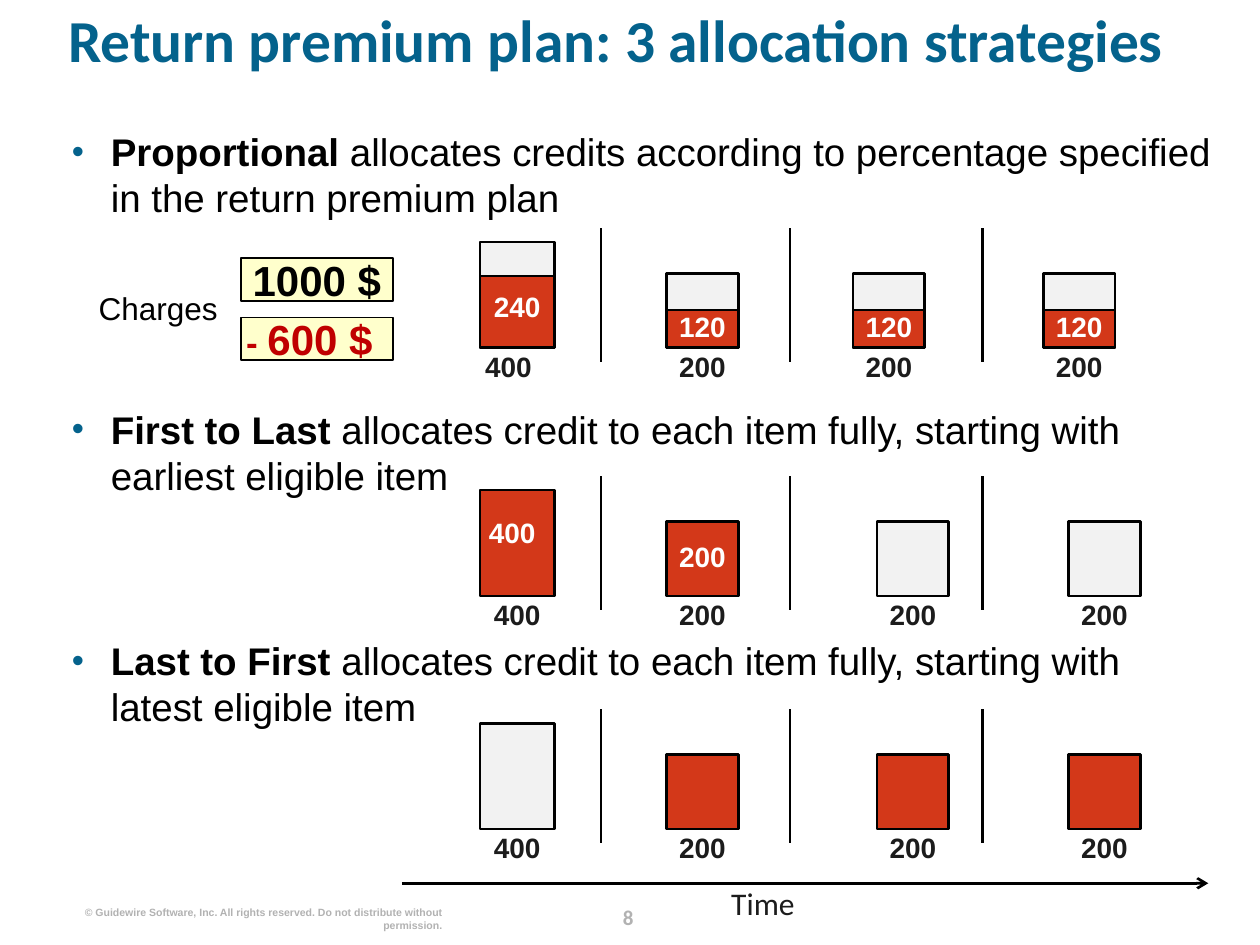
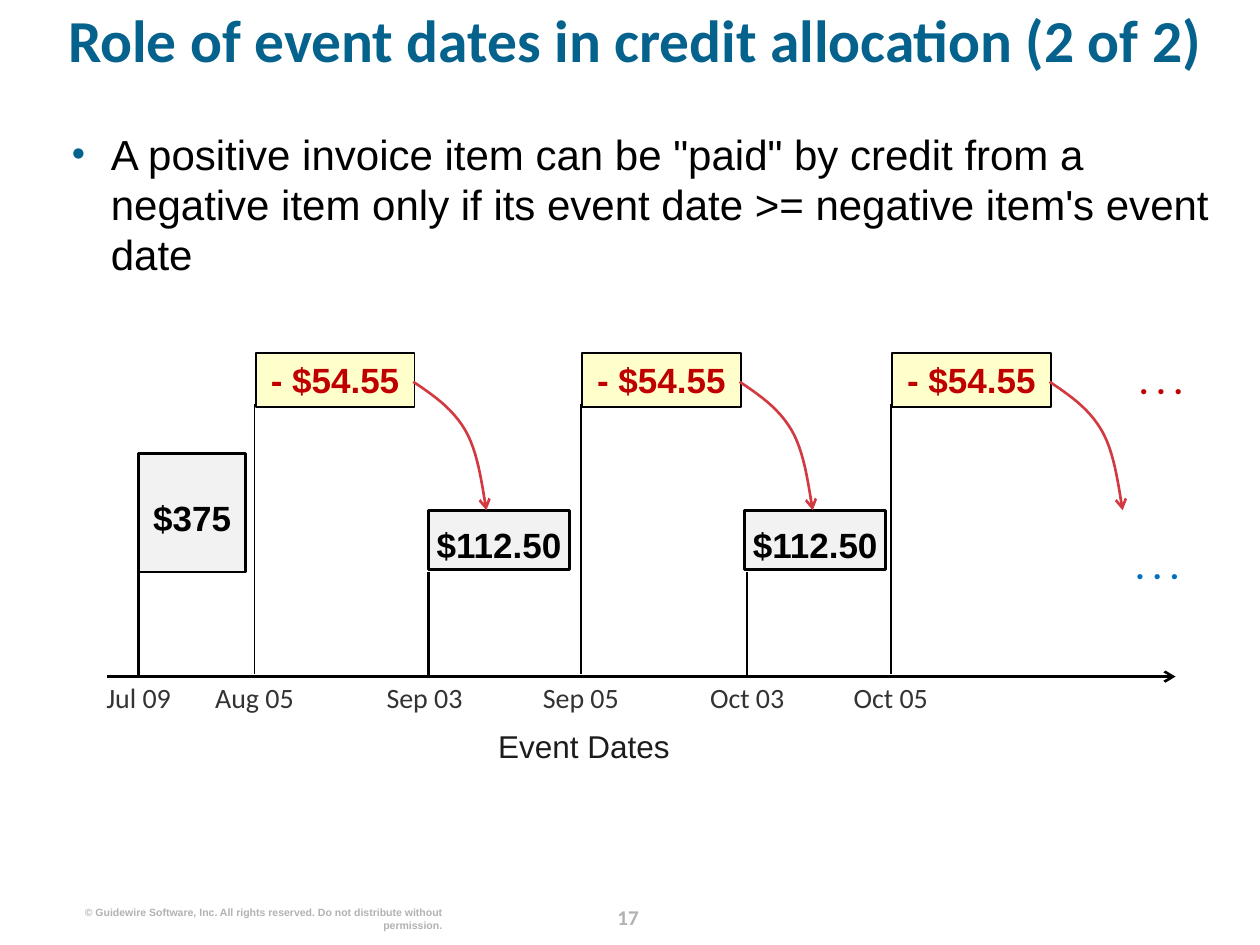
import lxml.etree
import pptx
import pptx.dml.color
import pptx.enum.shapes
import pptx.enum.text
import pptx.oxml.ns
import pptx.util

# Shared style: 100 px to the inch
PX = 9144
SLIDE_W, SLIDE_H = 1000, 750
HEADING, PLAIN = "Calibri", "Arial"
COLOURS = {
    "brand": "04628C", "text": "000000", "label": "1C1C1C", "date": "333333",
    "muted": "B2B2B2", "white": "FFFFFF", "item": "F2F2F2", "credited": "D33819",
    "charge": "FFFFCC", "negative": "C00000", "more": "0070C0", "flow": "D33941",
}
COPYRIGHT = ("© Guidewire Software, Inc. All rights reserved. "
             "Do not distribute without permission.")
ALIGN = pptx.enum.text.PP_ALIGN
ANCHOR = pptx.enum.text.MSO_ANCHOR

# Content of slide 1: bullets are (space before in pt, [(text, bold)])
STRATEGIES = {
    "title": "Return premium plan: 3 allocation strategies",
    "number": "8",
    "size": 22, "leading": 26.3, "height": 600,
    "bullets": [
        (0, [("Proportional", True),
             (" allocates credits according to percentage specified in the "
              "return premium plan", False)]),
        (106, [("First to Last ", True),
               ("allocates credit to each item fully, starting with earliest "
                "eligible item", False)]),
        (79.5, [("Last to First ", True),
                ("allocates credit to each item fully, starting with latest "
                 "eligible item", False)]),
    ],
}
# Items: left, amount due, credited height, credit text, shift of due, shift of credit
ALLOCATIONS = [
    (276, [(381, 400, 57, "240", -7, -3), (529, 200, 30, "120", 0, 0),
           (677, 200, 30, "120", 0, 0), (828, 200, 30, "120", 0, 0)]),
    (473, [(381, 400, 84, "400", 0, -7), (529, 200, 59, "200", 0, 0),
           (696, 200, 0, "", 0, 0), (848, 200, 0, "", 0, 0)]),
    (658, [(381, 400, 0, "", 0, 0), (529, 200, 59, "", 0, 0),
           (696, 200, 59, "", 0, 0), (848, 200, 59, "", 0, 0)]),
]
ITEM_SIZES = {400: (59, 84), 200: (57, 59)}
DIVIDERS = [477, 627, 780]
# Charges: top, runs of (text, size, colour), right inset
CHARGES = [
    (205, [("1000 $", 24, "text")], 0),
    (252, [("- ", 20, "negative"), ("600 $", 24, "negative")], 12),
]

# Content of slide 2
EVENTS = {
    "title": "Role of event dates in credit allocation (2 of 2)",
    "number": "17",
    "size": 24, "leading": 28.6, "height": 309,
    "bullets": [
        (0, [("A positive invoice item can be \"paid\" by credit from a negative "
              "item only if its event date >= negative item's event date", False)]),
    ],
}
AXIS_Y = 537
# Invoice items: date, stem x, date shift, amount, box left, top, width, height
INVOICES = [
    ("Jul 09", 110, 0, "$375", 110, 360, 85, 94),
    ("Sep 03", 340, -3, "$112.50", 340, 405, 112, 47),
    ("Oct 03", 593, 0, "$112.50", 591, 405, 112, 47),
]
CREDITS = [("Aug 05", 202), ("Sep 05", 461), ("Oct 05", 707)]
CREDIT_AMOUNT = "- $54.55"
# Flow curve as two Bezier pieces, relative to its start
FLOW = [((0, 0), (15, 10), (31, 21), (41, 38)),
        ((41, 38), (51, 55), (54, 78), (58, 102))]
FLOW_STEPS = 12


def px(*lengths):
    return [round(length * PX) for length in lengths]


def rgb(colour):
    return pptx.dml.color.RGBColor.from_string(COLOURS[colour])


def add_run(paragraph, words, size, colour, bold=False, font=PLAIN):
    run = paragraph.add_run()
    run.text = words
    run.font.name, run.font.bold = font, bold
    run.font.size = pptx.util.Pt(size)
    run.font.color.rgb = rgb(colour)


def prepare(frame, anchor=ANCHOR.TOP, wrap=False, right=0, top=0):
    frame.auto_size = pptx.enum.text.MSO_AUTO_SIZE.NONE
    frame.margin_left = frame.margin_bottom = 0
    frame.margin_right, frame.margin_top = px(right, top)
    frame.vertical_anchor, frame.word_wrap = anchor, wrap
    return frame.paragraphs[0]


def label(slide, words, left, top, width, height, size, colour, bold=False,
          font=PLAIN, align=ALIGN.CENTER, wrap=False, spacing=0.95):
    box = slide.shapes.add_textbox(*px(left, top, width, height))
    paragraph = prepare(box.text_frame, wrap=wrap)
    paragraph.alignment, paragraph.line_spacing = align, spacing
    add_run(paragraph, words, size, colour, bold, font)


def block(slide, left, top, width, height, fill, weight=1.5, runs=(), right=0, drop=0):
    box = slide.shapes.add_shape(pptx.enum.shapes.MSO_SHAPE.RECTANGLE,
                                 *px(left, top, width, height))
    box.shadow.inherit = False
    box.fill.solid()
    box.fill.fore_color.rgb = rgb(fill)
    box.line.color.rgb = rgb("text")
    box.line.width = pptx.util.Pt(weight)
    if runs:
        paragraph = prepare(box.text_frame, ANCHOR.MIDDLE, right=right, top=drop)
        paragraph.alignment = ALIGN.CENTER
        for words, size, colour in runs:
            add_run(paragraph, words, size, colour, bold=True)


def child(parent, tag, **attributes):
    return lxml.etree.SubElement(parent, pptx.oxml.ns.qn(tag), attributes)


def add_arrowhead(shape):
    outline = shape._element.spPr.find(pptx.oxml.ns.qn("a:ln"))
    child(outline, "a:tailEnd", type="arrow")


def rule(slide, x1, y1, x2, y2, weight=1.5, arrow=False):
    line = slide.shapes.add_connector(pptx.enum.shapes.MSO_CONNECTOR.STRAIGHT,
                                      *px(x1, y1, x2, y2))
    line.line.color.rgb = rgb("text")
    line.line.width = pptx.util.Pt(weight)
    if arrow:
        add_arrowhead(line)
    child(line._element.spPr, "a:effectLst")


def flow_arrow(slide, left, top):
    points = []
    for piece in FLOW:
        for step in range(FLOW_STEPS + 1):
            t = step / FLOW_STEPS
            weights = ((1 - t) ** 3, 3 * t * (1 - t) ** 2, 3 * t * t * (1 - t), t ** 3)
            x, y = (sum(w * p[axis] for w, p in zip(weights, piece)) for axis in (0, 1))
            points.append(px(left + x, top + y))
    builder = slide.shapes.build_freeform(*points[0])
    builder.add_line_segments(points[1:], close=False)
    curve = builder.convert_to_shape()
    curve.shadow.inherit = False
    curve.fill.background()
    curve.line.color.rgb = rgb("flow")
    curve.line.width = pptx.util.Pt(1.5)
    add_arrowhead(curve)


def place(shape, left, top, width, height):
    shape.left, shape.top, shape.width, shape.height = px(left, top, width, height)


def add_bullet(paragraph):
    properties = paragraph._p.get_or_add_pPr()
    indent = px(31)[0]
    properties.set("marL", str(indent))
    properties.set("indent", str(-indent))
    child(child(properties, "a:buClr"), "a:srgbClr", val=COLOURS["brand"])
    child(properties, "a:buSzPct", val="90000")
    child(properties, "a:buFont", typeface=PLAIN)
    child(properties, "a:buChar", char="•")


def add_slide(deck, content):
    slide = deck.slides.add_slide(deck.slide_layouts[1])
    title, body = slide.placeholders[0], slide.placeholders[1]

    # Title
    place(title, 54, 13, 910, 81)
    heading = prepare(title.text_frame, wrap=True)
    heading.alignment, heading.line_spacing = ALIGN.LEFT, 0.8
    add_run(heading, content["title"], 34, "brand", True, HEADING)

    # Bullets
    place(body, 57, 102, 910, content["height"])
    paragraph = prepare(body.text_frame, wrap=True)
    for index, (before, runs) in enumerate(content["bullets"]):
        if index:
            paragraph = body.text_frame.add_paragraph()
        add_bullet(paragraph)
        paragraph.space_before = pptx.util.Pt(before)
        paragraph.line_spacing = pptx.util.Pt(content["leading"])
        for words, bold in runs:
            add_run(paragraph, words, content["size"], "text", bold)

    # Footer
    label(slide, content["number"], 470, 713, 57, 25, 12, "muted", True, HEADING,
          spacing=pptx.util.Pt(18))
    label(slide, COPYRIGHT, 61, 719, 290, 20, 6, "muted", True,
          align=ALIGN.RIGHT, wrap=True, spacing=1.0)
    return slide


def build_strategies(deck):
    slide = add_slide(deck, STRATEGIES)

    # Charges
    label(slide, "Charges", 60, 229, 131, 30, 18, "text", spacing=1.0)
    for top, runs, right in CHARGES:
        block(slide, 191, top, 121, 34, "charge", 1, runs, right)

    # One row of invoice items per strategy
    for base, items in ALLOCATIONS:
        for x in DIVIDERS:
            rule(slide, x, base - 95, x, base + 11)
        for left, due, credited, credit, due_shift, credit_shift in items:
            width, height = ITEM_SIZES[due]
            if credited < height:
                block(slide, left, base - height, width, height, "item")
            if credited:
                block(slide, left, base - credited, width, credited, "credited")
            if credit:
                # The full first item carries its label left of centre
                sideways = -4 if credited == 84 else 0
                label(slide, credit, left + sideways,
                      base - credited / 2 - 13 + credit_shift,
                      width, 26, 16, "white", True)
            label(slide, str(due), left + due_shift, base + 3, width, 26, 16,
                  "label", True)

    # Time axis
    rule(slide, 319, 701, 959, 701, arrow=True)
    label(slide, "Time", 580, 704, 51, 29, 18, "label", font=HEADING)


def build_events(deck):
    slide = add_slide(deck, EVENTS)

    # Time axis
    rule(slide, 85, AXIS_Y, 933, AXIS_Y, arrow=True)
    label(slide, "Event Dates", 395, 579, 137, 29, 18, "label")

    # Positive items
    for date, x, shift, amount, left, top, width, height in INVOICES:
        rule(slide, x, 454, x, AXIS_Y)
        block(slide, left, top, width, height, "item",
              runs=[(amount, 20, "text")], drop=8)
        label(slide, date, x - 31 + shift, 542, 62, 26, 16, "date", font=HEADING)

    # Negative items and where their credit goes
    for date, x in CREDITS:
        rule(slide, x, 321, x, AXIS_Y - 2, 1)
        block(slide, x + 1, 280, 126, 43, "charge", 1,
              [(CREDIT_AMOUNT, 20, "negative")])
        flow_arrow(slide, x + 126, 303)
        label(slide, date, x - 31, 542, 62, 26, 16, "date", font=HEADING)

    # Series continue
    for left, top, colour in ((894, 285, "negative"), (891, 432, "more")):
        label(slide, ". . .", left, top, 55, 34, 20, colour, True, HEADING, spacing=1.0)


def main():
    deck = pptx.Presentation()
    deck.slide_width, deck.slide_height = px(SLIDE_W, SLIDE_H)
    build_strategies(deck)
    build_events(deck)
    deck.save("out.pptx")


if __name__ == "__main__":
    main()
